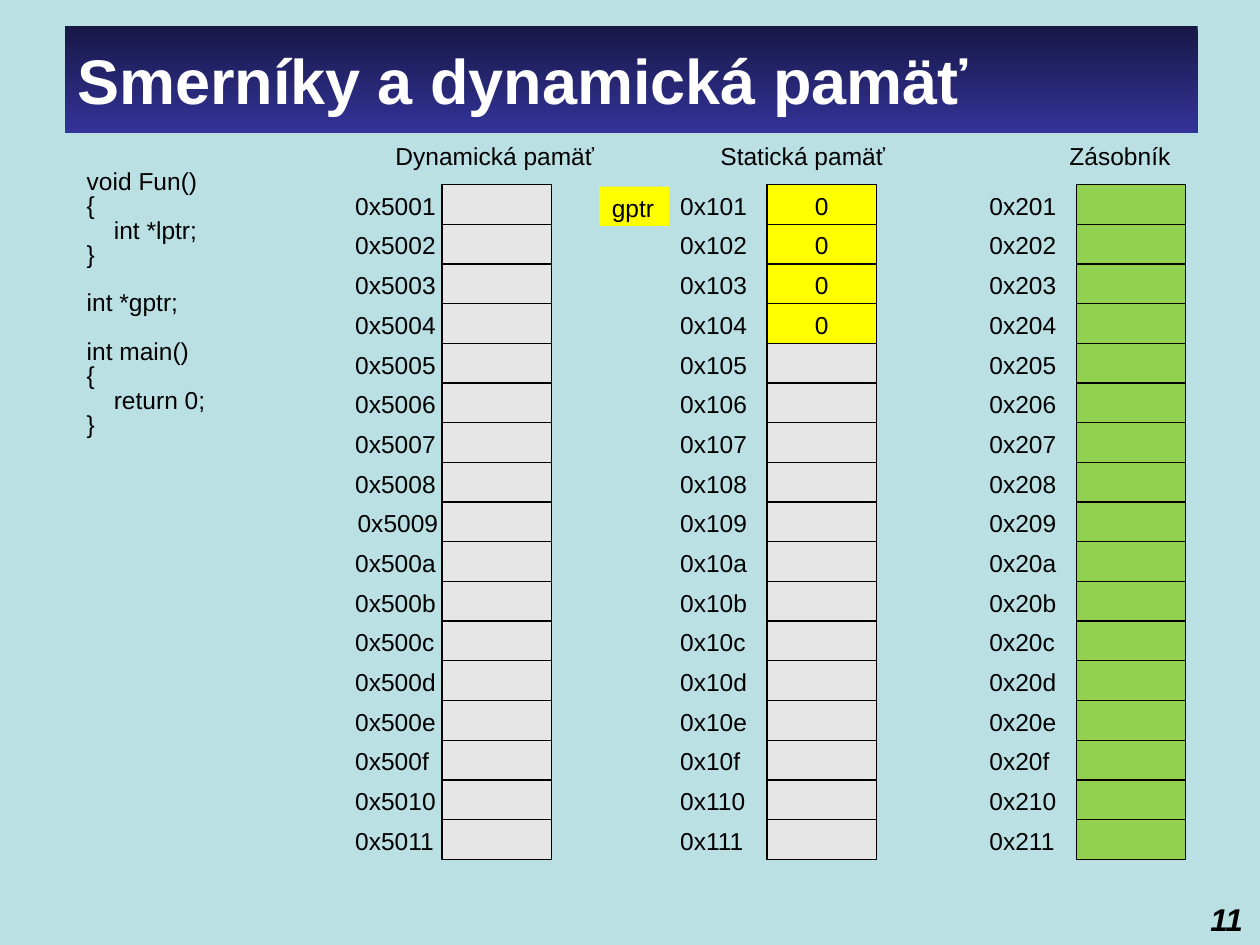
from pptx import Presentation
from pptx.dml.color import RGBColor
from pptx.enum import shapes, text
from pptx.util import Pt


def color(value):
    """Turn a hex string into a colour."""
    return RGBColor.from_string(value)


def add_text(container, lines, left, top, width, height, fill=None, line=None,
             size=14, ink="000000", bold=False, italic=False, wrap=True,
             align=text.PP_ALIGN.LEFT, anchor=text.MSO_ANCHOR.TOP):
    """Add a text box, or a rectangle if a fill is given, and return it."""
    place = Pt(left), Pt(top), Pt(width), Pt(height)
    if fill:
        shape = container.add_shape(shapes.MSO_SHAPE.RECTANGLE, *place)
        shape.shadow.inherit = False
        shape.fill.solid()
        shape.fill.fore_color.rgb = color(fill)
        if line:
            shape.line.color.rgb = color(line)
            shape.line.width = Pt(0.75)
        else:
            shape.line.fill.background()
    else:
        shape = container.add_textbox(*place)
    frame = shape.text_frame
    frame.word_wrap = wrap
    frame.vertical_anchor = anchor
    frame.text = lines
    for paragraph in frame.paragraphs:
        paragraph.alignment = align
        font = paragraph.font
        font.name, font.size = "Arial", Pt(size)
        font.bold, font.italic = bold, italic
        font.color.rgb = color(ink)
    return shape


presentation = Presentation()
presentation.slide_width, presentation.slide_height = Pt(720), Pt(540)
slide = presentation.slides.add_slide(presentation.slide_layouts[6])
slide.background.fill.solid()
slide.background.fill.fore_color.rgb = color("BBE0E3")

# Title bar
title = add_text(slide.shapes, "Smerníky a dynamická pamäť", 37, 15, 647.5, 61,
                 fill="333399", size=36, ink="FFFFFF", bold=True,
                 anchor=text.MSO_ANCHOR.MIDDLE)
title.fill.gradient()
title.fill.gradient_angle = 270
for stop, shade in zip(title.fill.gradient_stops, ("181847", "333399")):
    stop.color.rgb = color(shade)

# Memory columns: heading, its left and width, cell left, label width,
# first address, cell fill, number of zeroed cells
row_top, row_height, row_count = 105.5, 22.68, 17
memories = [
    ("Statická pamäť", 404.6, 110, 438.3, 53, 0x101, "E6E6E6", 4),
    ("Zásobník", 604, 74, 615, 53, 0x201, "92D050", 0),
    ("Dynamická pamäť", 218.9, 130, 252.6, 61, 0x5001, "E6E6E6", 0),
]
for (heading, heading_left, heading_width, cell_left, label_width,
     first_address, fill, zeroed) in memories:
    column = slide.shapes.add_group_shape().shapes
    for row in range(row_count):
        top = row_top + row * row_height
        is_zeroed = row < zeroed
        add_text(column, "0" if is_zeroed else "", cell_left, top, 62.5, row_height,
                 fill="FFFF00" if is_zeroed else fill, line="000000",
                 align=text.PP_ALIGN.CENTER)
        address = first_address + row
        nudge = 1.4 if address == 0x5009 else 0
        add_text(column, f"0x{address:x}", cell_left - 56.7 + nudge, top,
                 label_width, 24.2)
    add_text(column, heading, heading_left, 77, heading_width, 24.2)

# Program listing
code_lines = ["void Fun()", "{", "int *lptr;", "}", "int *gptr;",
              "int main()", "{", "return 0;", "}"]
code = add_text(slide.shapes, "\n".join(code_lines), 42.5, 94.3, 244, 156.2)
for paragraph in code.text_frame.paragraphs:
    paragraph.line_spacing = 0.8
    paragraph.space_after = Pt(0.6)
    if paragraph.text in ("int *gptr;", "int main()"):
        paragraph.space_before = Pt(13.5)
    if paragraph.text in ("int *lptr;", "return 0;"):
        paragraph._p.get_or_add_pPr().set("marL", str(Pt(15.5)))

add_text(slide.shapes, "gptr", 342.5, 106.6, 39.7, 22.5, fill="FFFF00", wrap=False)
add_text(slide.shapes, "11", 684.5, 511, 35, 29, size=18, bold=True, italic=True)

presentation.save("out.pptx")
